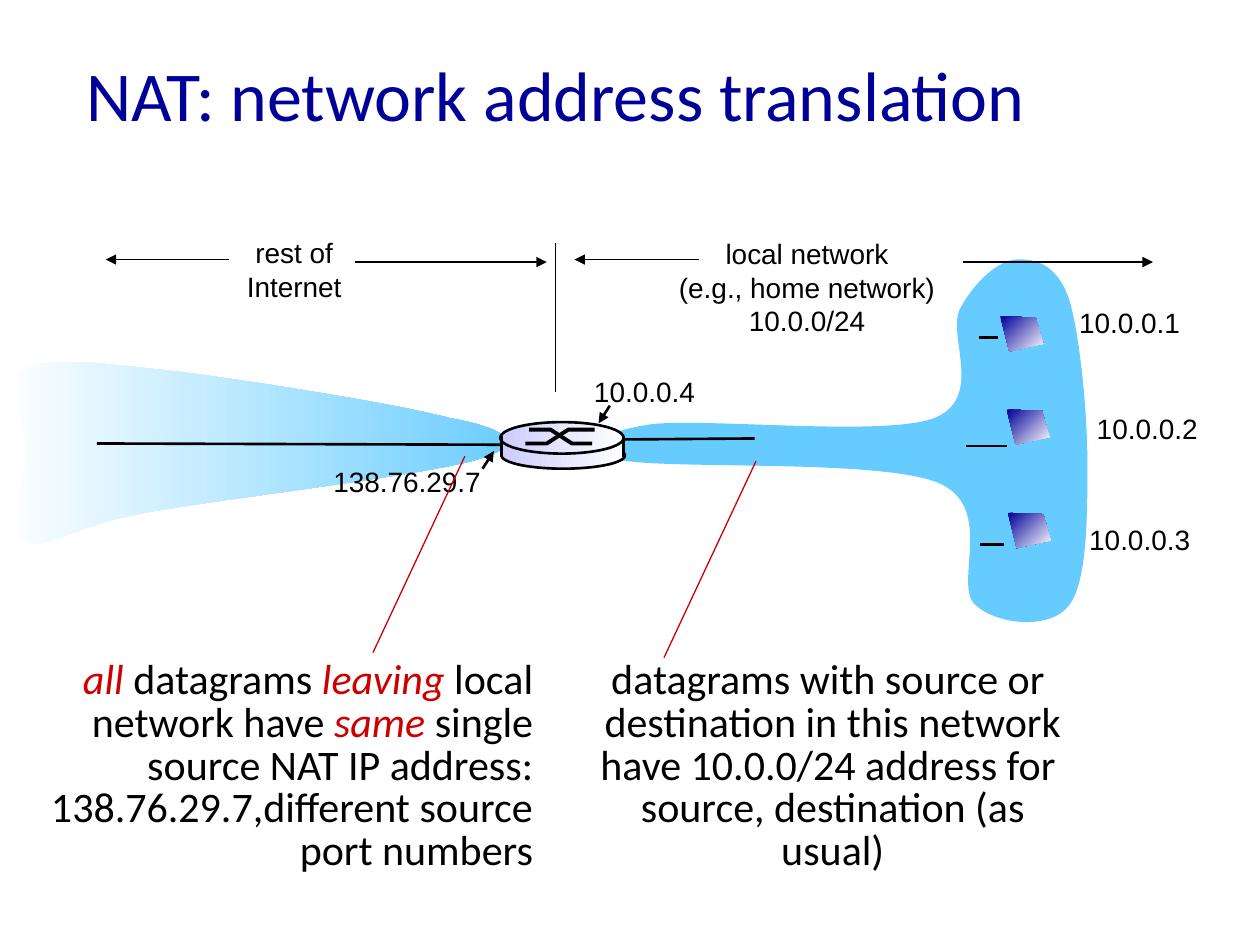
from dataclasses import dataclass

from lxml.etree import SubElement
from pptx import Presentation
from pptx.dml.color import RGBColor
from pptx.enum.shapes import MSO_CONNECTOR as LineKind, MSO_SHAPE as Preset
from pptx.enum.text import MSO_ANCHOR as Anchor, PP_ALIGN as Align
from pptx.oxml.ns import qn
from pptx.util import Inches, Pt


@dataclass(frozen=True)
class Theme:
    navy: str = "000099"
    red: str = "CC0000"
    sky: str = "66CCFF"
    lilac: str = "CCCCFF"
    white: str = "FFFFFF"
    black: str = "000000"
    heading: str = "Calibri"
    label: str = "Arial"
    title_size: int = 40
    body_size: int = 24
    label_size: int = 16
    thin: float = 0.75
    medium: float = 1.5
    thick: float = 2.25


THEME = Theme()

TITLE = "NAT: network address translation"

LOCAL_CLOUD = [
    (5.15, 3.37),
    (5.56, 3.31), (7, 3.47), (7.41, 3.32),
    (7.82, 3.16), (7.51, 2.66), (7.62, 2.45),
    (7.73, 2.24), (7.92, 2.07), (8.06, 2.06),
    (8.21, 2.05), (8.38, 2.09), (8.48, 2.36),
    (8.57, 2.64), (8.63, 3.27), (8.63, 3.68),
    (8.63, 4.09), (8.63, 4.63), (8.48, 4.81),
    (8.33, 5), (7.91, 4.96), (7.74, 4.8),
    (7.56, 4.64), (7.91, 4.02), (7.44, 3.83),
    (6.97, 3.64), (5.31, 3.73), (4.92, 3.65),
    (4.54, 3.57), (4.76, 3.43), (5.15, 3.37),
]
INTERNET_CLOUD = [
    (3.57, 3.32),
    (3.17, 3.21), (1.97, 3.02), (1.41, 2.95),
    (0.85, 2.89), (0.4, 2.82), (0.2, 2.93),
    (0, 3.03), (0.21, 3.34), (0.21, 3.57),
    (0.21, 3.8), (0.04, 4.21), (0.2, 4.3),
    (0.36, 4.38), (0.55, 4.18), (1.15, 4.07),
    (1.75, 3.96), (3.4, 3.77), (3.81, 3.64),
    (4.21, 3.52), (3.98, 3.39), (3.57, 3.32),
]

LINKS = [
    ((4.67, 3.49), (5.99, 3.48)),
    ((7.99, 3.54), (7.67, 3.54)),
    ((7.77, 2.68), (7.92, 2.68)),
    ((7.78, 4.32), (7.97, 4.32)),
    ((0.77, 3.52), (4.08, 3.53)),
]
POINTERS = [((4.84, 3.22), (4.75, 3.36)), ((3.83, 3.72), (3.92, 3.58))]
SPANS = [
    ((7.64, 2.08), (9.15, 2.08)),
    ((5.55, 2.06), (4.56, 2.06)),
    ((2.82, 2.08), (4.34, 2.08)),
    ((1.82, 2.06), (0.84, 2.06)),
]
DIVIDER = ((4.41, 1.93), (4.41, 3.11))
CALLOUTS = [((5.27, 5.22), (6, 3.66)), ((2.96, 5.18), (3.69, 3.62))]

LABELS = [
    (["10.0.0.1"], (8.46, 2.38, 1.01, 0.37)),
    (["10.0.0.2"], (8.6, 3.22, 1.01, 0.37)),
    (["10.0.0.3"], (8.54, 4.1, 1.01, 0.37)),
    (["10.0.0.4"], (4.61, 2.92, 1.01, 0.37)),
    (["138.76.29.7"], (2.54, 3.64, 1.38, 0.37)),
    (["local network", "(e.g., home network)", "10.0.0/24"], (5.16, 1.83, 2.49, 1)),
    (["rest of", "Internet"], (1.81, 1.82, 1.05, 0.7)),
]

LOCAL_NOTE = [
    ["datagrams with source or "],
    ["destination in this network"],
    ["have 10.0.0/24 address for "],
    ["source, destination (as usual)"],
]
LEAVING_NOTE = [
    ["*all ", "datagrams ", "*leaving", " local"],
    ["network have ", "*same",
     " single source NAT IP address: 138.76.29.7,different source port numbers"],
]

ROUTER_BODY = [
    (Preset.OVAL, (3.98, 3.51, 0.98, 0.21), True),
    (Preset.RECTANGLE, (3.98, 3.49, 0.98, 0.13), False),
    (Preset.OVAL, (3.97, 3.35, 0.98, 0.25), True),
]
ROUTER_CROSS = [
    [(4.17, 3.52), (4.34, 3.52), (4.51, 3.41), (4.72, 3.41)],
    [(4.2, 3.41), (4.37, 3.41), (4.54, 3.52), (4.7, 3.52)],
]
ROUTER_SIDES = [((3.98, 3.46), (3.98, 3.63)), ((4.95, 3.47), (4.95, 3.63))]

HOSTS = [(7.94, 2.51), (7.99, 3.25), (8, 4.07)]
HOST_OUTLINE = [(0, 0), (0.28, 0.01), (0.34, 0.22), (0.07, 0.28), (0, 0)]


def color(code):
    """Turn a hex code into a colour."""
    return RGBColor.from_string(code)


def paint(shape, colors=(), angle=0, width=None):
    """Give a shape a plain, gradient or empty fill and an optional outline."""
    shape.shadow.inherit = False
    if len(colors) == 2:
        shape.fill.gradient()
        shape.fill.gradient_angle = angle
        for stop, code in zip(shape.fill.gradient_stops, colors):
            stop.color.rgb = color(code)
    elif colors:
        shape.fill.solid()
        shape.fill.fore_color.rgb = color(colors[0])
    else:
        shape.fill.background()
    if width:
        shape.line.color.rgb = color(THEME.black)
        shape.line.width = Pt(width)
    else:
        shape.line.fill.background()


def bend(shape):
    """Turn every three straight segments of a freeform into one cubic curve."""
    segments = list(shape._element.iter(qn("a:lnTo")))
    for first in range(0, len(segments), 3):
        curve, *others = segments[first:first + 3]
        curve.tag = qn("a:cubicBezTo")
        for segment in others:
            curve.append(segment[0])
            segment.getparent().remove(segment)


def add_outline(shapes, points, curved=False, **style):
    """Draw a freeform through the points."""
    corners = [(Inches(x), Inches(y)) for x, y in points]
    builder = shapes.build_freeform(*corners[0])
    builder.add_line_segments(corners[1:], close=False)
    outline = builder.convert_to_shape()
    if curved:
        bend(outline)
    if points[0] == points[-1]:
        SubElement(next(outline._element.iter(qn("a:path"))), qn("a:close"))
    paint(outline, **style)


def add_line(shapes, ends, width, code=THEME.black, arrow=False):
    """Draw a straight line, with an arrowhead at its end if asked."""
    (x1, y1), (x2, y2) = ends
    line = shapes.add_connector(LineKind.STRAIGHT, *map(Inches, (x1, y1, x2, y2)))
    line.line.color.rgb = color(code)
    line.line.width = Pt(width)
    if arrow:
        SubElement(line.line._get_or_add_ln(), qn("a:tailEnd"), type="triangle")
    SubElement(line._element.spPr, qn("a:effectLst"))


def add_text(shapes, lines, place, font, size, code=THEME.black, align=Align.CENTER,
             wrap=True, spacing=None, anchor=Anchor.TOP, right=0.1):
    """Write lines of spans, where a leading star marks red italics."""
    frame = shapes.add_textbox(*map(Inches, place)).text_frame
    frame.word_wrap = wrap
    frame.vertical_anchor = anchor
    frame.margin_right = Inches(right)
    frame.text = "\n" * (len(lines) - 1)
    for para, spans in zip(frame.paragraphs, lines):
        para.alignment = align
        para.line_spacing = spacing
        for words in spans:
            span = para.add_run()
            span.text = words.removeprefix("*")
            span.font.name = font
            span.font.size = Pt(size)
            span.font.italic = words.startswith("*")
            span.font.color.rgb = color(THEME.red if span.font.italic else code)


def main():
    """Build the NAT slide."""
    deck = Presentation()
    deck.slide_width, deck.slide_height = Inches(10), Inches(7.5)
    page = deck.slides.add_slide(deck.slide_layouts[6]).shapes

    add_outline(page, LOCAL_CLOUD, curved=True, colors=[THEME.sky])
    add_text(page, [[TITLE]], (0.59, 0.25, 8.85, 0.99), THEME.heading, THEME.title_size,
             THEME.navy, Align.LEFT, anchor=Anchor.MIDDLE)
    add_outline(page, INTERNET_CLOUD, curved=True, colors=[THEME.white, THEME.sky])
    for ends in LINKS:
        add_line(page, ends, THEME.medium)
    for lines, place in LABELS:
        add_text(page, [[line] for line in lines], place, THEME.label, THEME.label_size,
                 wrap=False)
    for ends in POINTERS:
        add_line(page, ends, THEME.medium, arrow=True)
    for ends in SPANS:
        add_line(page, ends, THEME.thin, arrow=True)
    add_line(page, DIVIDER, THEME.thin)
    add_text(page, LOCAL_NOTE, (4.66, 5.19, 4.12, 1.46), THEME.heading, THEME.body_size,
             spacing=0.85, right=0.32)
    add_text(page, LEAVING_NOTE, (0.3, 5.19, 4.03, 1.8), THEME.heading, THEME.body_size,
             align=Align.RIGHT, spacing=0.85)
    for ends in CALLOUTS:
        add_line(page, ends, THEME.thin, THEME.red)

    router = page.add_group_shape().shapes
    for preset, place, outlined in ROUTER_BODY:
        part = router.add_shape(preset, *map(Inches, place))
        paint(part, [THEME.lilac, THEME.white], width=THEME.medium if outlined else None)
    for points in ROUTER_CROSS:
        add_outline(router, points, width=THEME.thick)
    for ends in ROUTER_SIDES:
        add_line(router, ends, THEME.medium)
    for left, top in HOSTS:
        add_outline(page, [(left + x, top + y) for x, y in HOST_OUTLINE],
                    colors=[THEME.navy, THEME.white], angle=315)
    deck.save("out.pptx")


if __name__ == "__main__":
    main()
